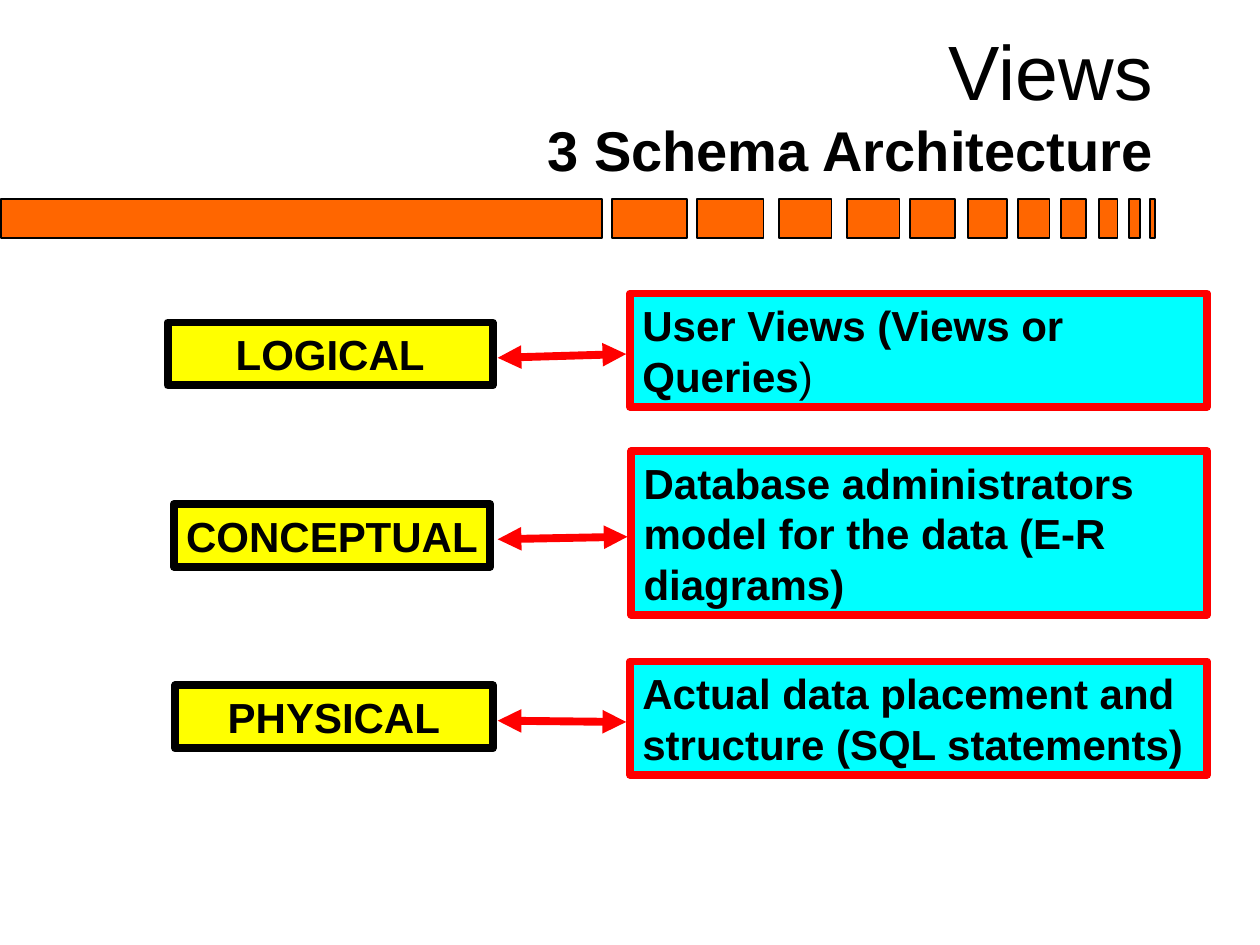
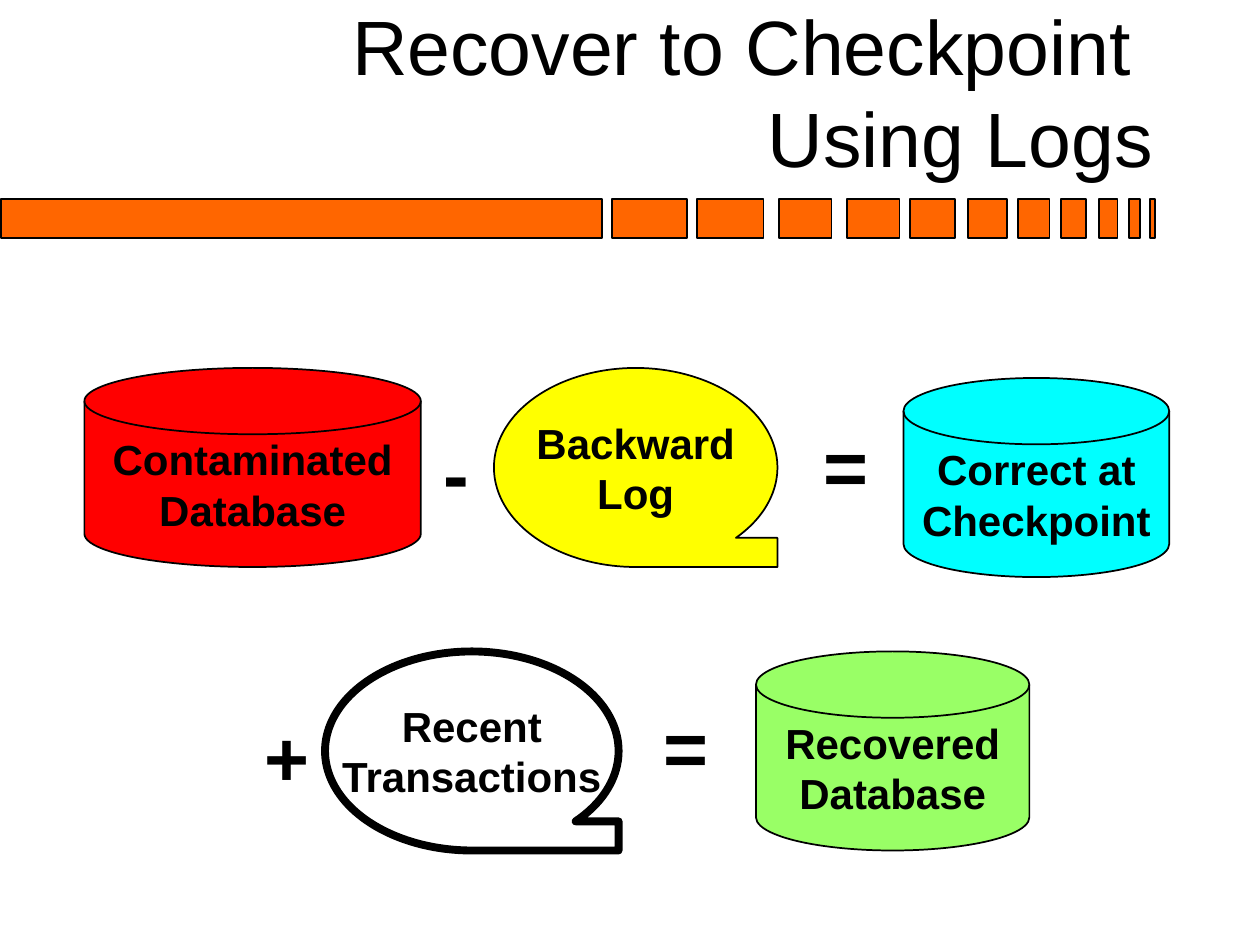
"""Build two database slides: the three schema levels and recovery with logs."""
from lxml import etree
from pptx import Presentation
from pptx import util as u
from pptx.dml.color import RGBColor
from pptx.enum import shapes, text
from pptx.oxml import ns

PX = u.Inches(1) // 100
BLACK, RED, YELLOW, CYAN = "000000", "FF0000", "FFFF00", "00FFFF"
ORANGE, GREEN = "FF6600", "99FF66"
RECT = shapes.MSO_SHAPE.RECTANGLE
DISK = shapes.MSO_SHAPE.FLOWCHART_MAGNETIC_DISK
TAPE = shapes.MSO_SHAPE.FLOWCHART_SEQUENTIAL_ACCESS_STORAGE
LEFT, CENTER, RIGHT = text.PP_ALIGN.LEFT, text.PP_ALIGN.CENTER, text.PP_ALIGN.RIGHT
TOP, MIDDLE, BOTTOM = text.MSO_ANCHOR.TOP, text.MSO_ANCHOR.MIDDLE, text.MSO_ANCHOR.BOTTOM


def paint(color, value):
    color.rgb = RGBColor.from_string(value)


def box(s, kind, at, words="", fill=None, line=None, width=1, size=24, bold=True,
        align=CENTER, anchor=TOP, wrap=False):
    at = [n * PX for n in at]
    if kind is None:
        sp = s.shapes.add_textbox(*at)
    else:
        sp = s.shapes.add_shape(kind, *at)
        sp.shadow.inherit = False
        paint(sp.line.fill.fore_color if sp.line.fill.type else sp.line.color, line)
        sp.line.width = u.Pt(width)
        if fill:
            sp.fill.solid()
            paint(sp.fill.fore_color, fill)
        else:
            sp.fill.background()
    if words:
        tf = sp.text_frame
        tf.text = words
        tf.word_wrap = wrap
        tf.vertical_anchor = anchor
        for p in tf.paragraphs:
            p.alignment = align
            p.font.name, p.font.size, p.font.bold = "Arial", u.Pt(size), bold
            paint(p.font.color, BLACK)
    return sp


prs = Presentation()
prs.slide_width, prs.slide_height = 1000 * PX, 750 * PX

bands = [(1, 477), (486, 59), (553, 53), (618, 42), (672, 42), (722, 36),
         (768, 31), (808, 25), (842, 20), (872, 15), (896, 9), (913, 4)]
slides, titles = [], []
for title in ["Views\v", "Recover to Checkpoint \vUsing Logs"]:
    s = prs.slides.add_slide(prs.slide_layouts[6])
    for x, w in bands:
        box(s, RECT, (x, 158, w, 31), fill=ORANGE, line=BLACK)
    titles.append(box(s, None, (75, 21, 850, 129), title, size=44, bold=False,
                      align=RIGHT, anchor=BOTTOM, wrap=True))
    slides.append(s)
schema, recovery = slides

r = titles[0].text_frame.paragraphs[0].add_run()
r.text = "3 Schema Architecture"
r.font.size, r.font.bold = u.Pt(32), True

levels = [
    ("LOGICAL", (133, 256, 258, 50),
     "User Views (Views or Queries", (500, 233, 458, 90), (395, 284, 497, 281)),
    ("CONCEPTUAL", (138, 400, 251, 50),
     "Database administrators model for the data (E-R diagrams)",
     (501, 358, 457, 130), (395, 428, 498, 426)),
    ("PHYSICAL", (139, 544, 252, 50),
     "Actual data placement and\nstructure (SQL statements)",
     (500, 525, 458, 90), (395, 572, 497, 573)),
]
for level, level_at, meaning, meaning_at, ends in levels:
    box(schema, RECT, level_at, level, YELLOW, BLACK, 4.5)
    sp = box(schema, RECT, meaning_at, meaning, CYAN, RED, 4.5, align=LEFT, wrap=True)
    if level == "LOGICAL":
        r = sp.text_frame.paragraphs[0].add_run()
        r.text = ")"
        r.font.bold = False
    arrow = schema.shapes.add_connector(shapes.MSO_CONNECTOR.STRAIGHT,
                                        *[n * PX for n in ends])
    paint(arrow.line.color, RED)
    arrow.line.width = u.Pt(4.5)
    spPr = arrow.element.spPr
    for end in ("a:headEnd", "a:tailEnd"):
        etree.SubElement(spPr.find(ns.qn("a:ln")), ns.qn(end), type="triangle")
    etree.SubElement(spPr, ns.qn("a:effectLst"))

stores = [
    (DISK, (67, 292, 267, 158), "Contaminated\nDatabase", RED, 1),
    (TAPE, (392, 292, 225, 158), "Backward\nLog", YELLOW, 1),
    (DISK, (717, 300, 211, 158), "Correct at\nCheckpoint", CYAN, 1),
    (TAPE, (258, 517, 233, 158), "Recent\nTransactions", None, 4.5),
    (DISK, (600, 517, 217, 158), "Recovered\nDatabase", GREEN, 1),
]
for kind, at, words, fill, width in stores:
    box(recovery, kind, at, words, fill, BLACK, width, anchor=MIDDLE)

for sign, x, y, w in [("-", 342, 333, 40), ("=", 644, 327, 55),
                      ("+", 200, 558, 55), ("=", 517, 550, 55)]:
    box(recovery, None, (x, y, w, 84), sign, size=44, align=LEFT)

prs.save("out.pptx")
